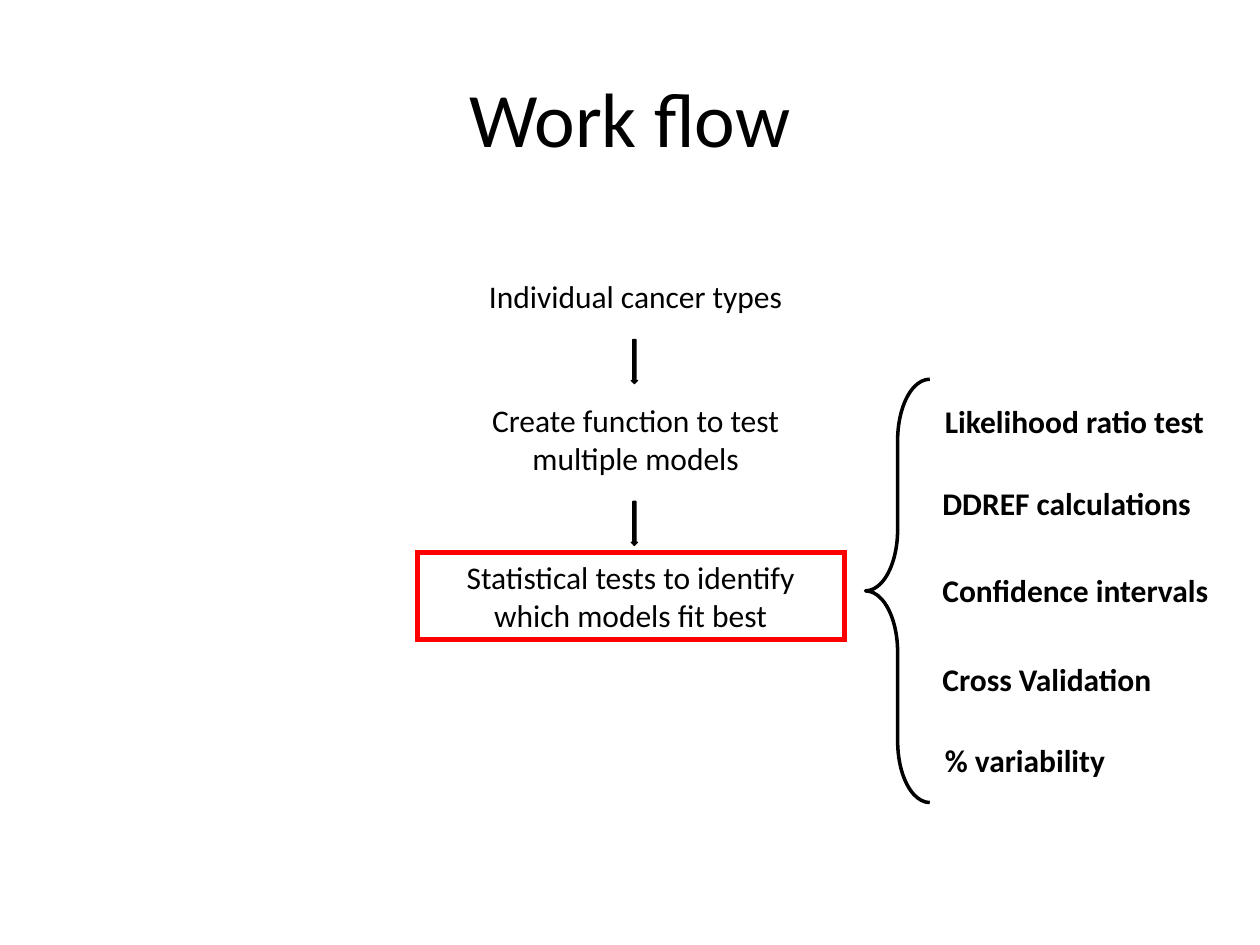
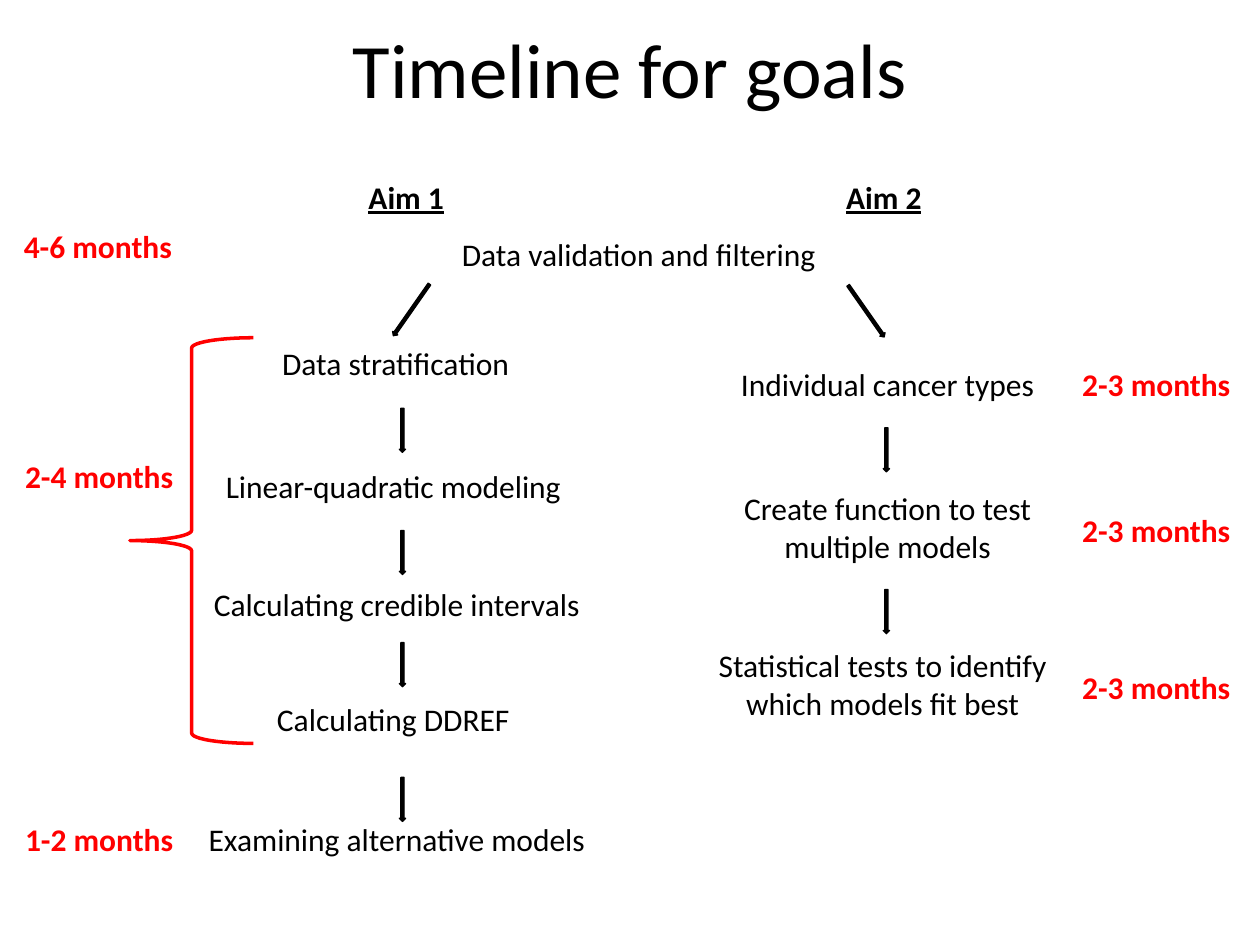
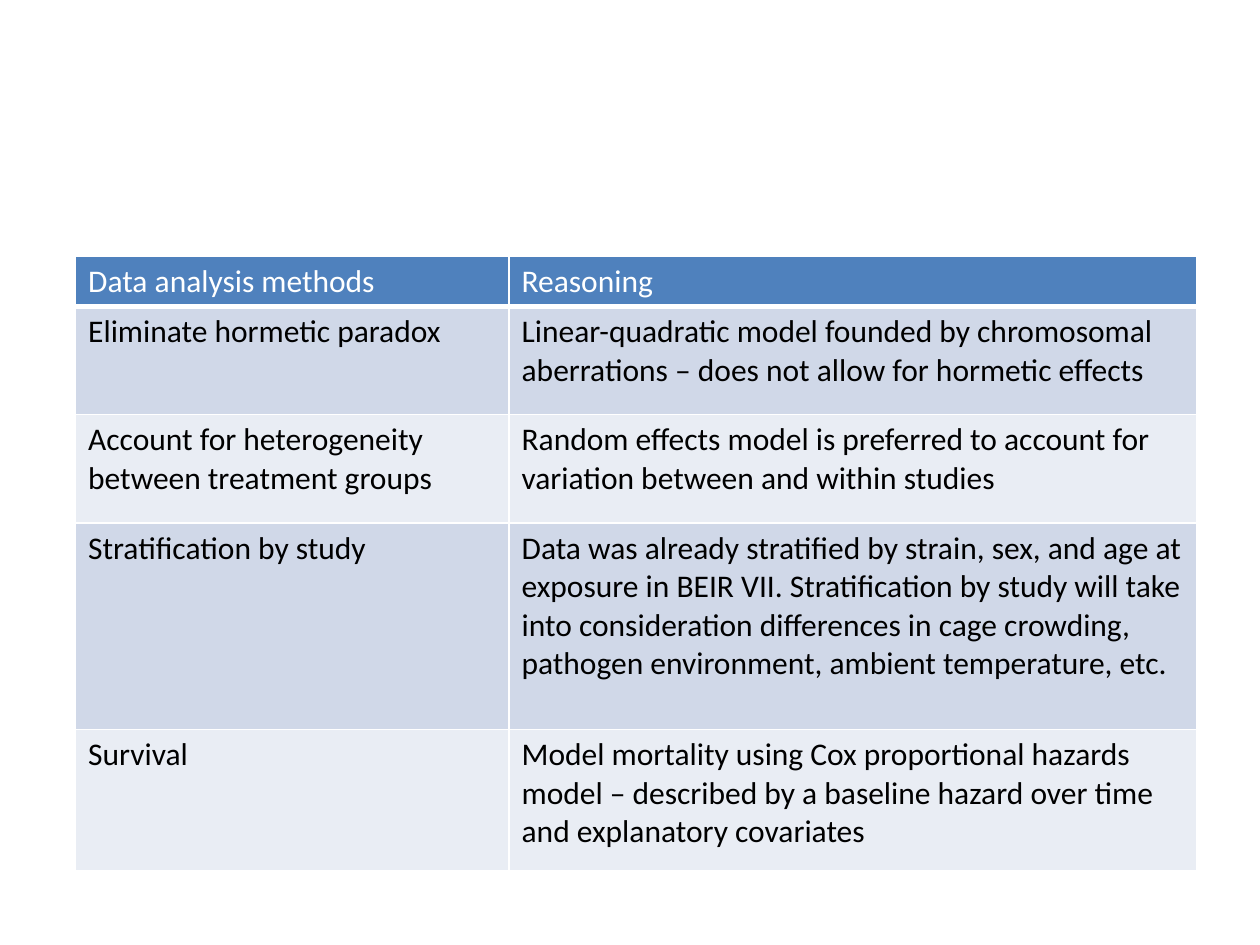
"""Build three slides on the work flow, timeline and methods of a cancer study."""
from dataclasses import dataclass

from lxml import etree
from pptx import Presentation
from pptx.dml.color import RGBColor
from pptx.enum.shapes import MSO_SHAPE
from pptx.enum.text import MSO_ANCHOR, MSO_AUTO_SIZE, PP_ALIGN
from pptx.oxml.ns import qn
from pptx.util import Pt

CENTER, LEFT = PP_ALIGN.CENTER, PP_ALIGN.LEFT
MIDDLE = MSO_ANCHOR.MIDDLE
GROW = MSO_AUTO_SIZE.SHAPE_TO_FIT_TEXT
DOWN_ARROW, FRAME, LEFT_BRACE = MSO_SHAPE.DOWN_ARROW, MSO_SHAPE.FRAME, MSO_SHAPE.LEFT_BRACE

COLORS = {
    "text": "000000",
    "accent": "FF0000",
    "white": "FFFFFF",
    "header": "4F81BD",
    "band_dark": "D0D8E8",
    "band_light": "E9EDF4",
}
FONT = "Calibri"
BODY_SIZE, TITLE_SIZE = 18, 44
ONE_LINE, TWO_LINES = 29.1, 50.9
STEP_WIDTH, AIM_WIDTH, MONTHS_WIDTH, TEST_WIDTH = 238.3, 439.2, 108.7, 187
ARROW_WIDTH, ARROW_HEIGHT = 3.6, 25.2


@dataclass(frozen=True)
class Label:
    text: str
    left: float
    top: float
    width: float
    height: float = ONE_LINE
    align: int = CENTER
    color: str = "text"
    bold: bool = False
    underline: bool = False


@dataclass(frozen=True)
class Arrow:
    left: float
    top: float
    height: float = ARROW_HEIGHT
    rotation: float = 0


@dataclass(frozen=True)
class Brace:
    left: float
    top: float
    width: float
    height: float
    color: str
    curve: float = 0.083


def rgb(name: str) -> RGBColor:
    """Return the named colour."""
    return RGBColor.from_string(COLORS[name])


def style_font(paragraph, color: str, size: float = BODY_SIZE, bold: bool = False) -> None:
    """Apply the shared typeface to a paragraph."""
    font = paragraph.font
    font.name, font.size, font.bold = FONT, Pt(size), bold
    font.color.rgb = rgb(color)


def add_label(slide, label: Label) -> None:
    """Draw one text label."""
    shape = slide.shapes.add_textbox(
        Pt(label.left), Pt(label.top), Pt(label.width), Pt(label.height))
    frame = shape.text_frame
    frame.word_wrap = True
    frame.auto_size = GROW
    paragraph = frame.paragraphs[0]
    paragraph.text = label.text
    paragraph.alignment = label.align
    style_font(paragraph, label.color, bold=label.bold)
    if label.underline:
        paragraph.font.underline = True


def add_title(slide, text: str, top: float) -> None:
    """Draw the centred slide title."""
    shape = slide.shapes.add_textbox(Pt(36), Pt(top), Pt(648), Pt(90))
    frame = shape.text_frame
    frame.word_wrap = True
    frame.vertical_anchor = MIDDLE
    paragraph = frame.paragraphs[0]
    paragraph.text = text
    paragraph.alignment = CENTER
    style_font(paragraph, "text", TITLE_SIZE)


def add_preset(slide, preset: int, left: float, top: float, width: float, height: float,
               color: str, line_width: float = 0.75, filled: bool = True):
    """Draw a preset shape in one colour and return it."""
    shape = slide.shapes.add_shape(preset, Pt(left), Pt(top), Pt(width), Pt(height))
    shape.shadow.inherit = False
    if filled:
        shape.fill.solid()
        shape.fill.fore_color.rgb = rgb(color)
    else:
        shape.fill.background()
    shape.line.color.rgb = rgb(color)
    shape.line.width = Pt(line_width)
    return shape


def add_arrow(slide, arrow: Arrow) -> None:
    """Draw one thin down arrow."""
    shape = add_preset(slide, DOWN_ARROW, arrow.left, arrow.top, ARROW_WIDTH, arrow.height, "text")
    shape.rotation = arrow.rotation


def add_brace(slide, brace: Brace) -> None:
    """Draw one left brace."""
    shape = add_preset(slide, LEFT_BRACE, brace.left, brace.top, brace.width, brace.height,
                       brace.color, line_width=2, filled=False)
    shape.adjustments[0] = brace.curve


def add_model_steps(slide, left: float, top: float) -> None:
    """Draw the three model steps that two slides share."""
    for text, shift, drop, height in (
        ("Individual cancer types", 2.9, 0, ONE_LINE),
        ("Create function to test multiple models", 2.9, 70.8, TWO_LINES),
        ("Statistical tests to identify which models fit best", 0, 160.6, TWO_LINES),
    ):
        add_label(slide, Label(text, left + shift, top + drop, STEP_WIDTH, height))
    for drop in (39.2, 131.7):
        add_arrow(slide, Arrow(left + 119.5, top + drop))


def set_border(cell, side: str, width: float) -> None:
    """Give one side of a cell a white border."""
    line = etree.SubElement(cell._tc.get_or_add_tcPr(), qn(f"a:ln{side}"), w=str(Pt(width)))
    fill = etree.SubElement(line, qn("a:solidFill"))
    etree.SubElement(fill, qn("a:srgbClr"), val=COLORS["white"])


def build_work_flow(slide) -> None:
    """Build the work flow slide."""
    add_title(slide, "Work flow", 21.6)
    add_model_steps(slide, 241.2, 154.8)
    for text, left, top in (
        ("Likelihood ratio test", 532.8, 226.1),
        ("DDREF calculations", 531.4, 272.9),
        ("Confidence intervals", 531.4, 322.6),
        ("Cross Validation", 531.4, 373.7),
        ("% variability", 532.8, 419.8),
    ):
        add_label(slide, Label(text, left, top, TEST_WIDTH, align=LEFT, bold=True))
    highlight = add_preset(slide, FRAME, 237.6, 314.6, 246.2, 51.8, "accent")
    highlight.adjustments[0] = 0.039
    add_brace(slide, Brace(494.6, 216.7, 36.7, 241.9, "text", 0.954))


def build_timeline(slide) -> None:
    """Build the timeline slide."""
    add_title(slide, "Timeline for goals", -6.5)
    for text, left, top in (
        ("Data validation and filtering", 145.4, 131),
        ("Data stratification", 6.5, 193),
        ("Linear-quadratic modeling", 5.2, 263.5),
        ("Calculating credible intervals", 7.2, 330.5),
        ("Calculating DDREF", 5.2, 396.7),
        ("Examining alternative models", 7.2, 465.1),
    ):
        add_label(slide, Label(text, left, top, AIM_WIDTH))
    add_model_steps(slide, 385.2, 205.2)
    for text, left in (("Aim 1", 145.4), ("Aim 2", 418.3)):
        add_label(slide, Label(text, left, 97.9, 173.5, bold=True, underline=True))
    for text, left, top in (
        ("4-6 months", 6.5, 126),
        ("2-4 months", 7.2, 257.8),
        ("1-2 months", 7.2, 465.1),
        ("2-3 months", 611.3, 205.2),
        ("2-3 months", 611.3, 288.7),
        ("2-3 months", 611.3, 378),
    ):
        add_label(slide, Label(text, left, top, MONTHS_WIDTH, align=LEFT,
                               color="accent", bold=True))
    for top in (233.3, 303.1, 367.2, 444.2):
        add_arrow(slide, Arrow(228.2, top))
    add_arrow(slide, Arrow(233.3, 159.1, 36, 35))
    add_arrow(slide, Arrow(493.2, 159.8, 36, 325))
    add_brace(slide, Brace(74.2, 193, 70.6, 231.8, "accent"))


def build_methods(slide) -> None:
    """Build the table of methods and reasons."""
    rows = (
        ("Data analysis methods", "Reasoning"),
        ("Eliminate hormetic paradox",
         "Linear-quadratic model founded by chromosomal aberrations – does not allow for "
         "hormetic effects"),
        ("Account for heterogeneity between treatment groups",
         "Random effects model is preferred to account for variation between and within studies"),
        ("Stratification by study",
         "Data was already stratified by strain, sex, and age at exposure in BEIR VII. "
         "Stratification by study will take into consideration differences in cage crowding, "
         "pathogen environment, ambient temperature, etc."),
        ("Survival",
         "Model mortality using Cox proportional hazards model – described by a baseline hazard "
         "over time and explanatory covariates"),
    )
    widths = (247.7, 393.1)
    heights = (28.8, 61.9, 61.9, 118.1, 80.6)
    table = slide.shapes.add_table(len(rows), len(widths), Pt(43.2), Pt(146.2),
                                   Pt(sum(widths)), Pt(sum(heights))).table
    for column, width in zip(table.columns, widths):
        column.width = Pt(width)
    for row_index, (texts, height) in enumerate(zip(rows, heights)):
        table.rows[row_index].height = Pt(height)
        is_header = row_index == 0
        band = "header" if is_header else ("band_light", "band_dark")[row_index % 2]
        borders = {"L": 1, "R": 1, "T": 3 if row_index == 1 else 1, "B": 3 if is_header else 1}
        for column_index, text in enumerate(texts):
            cell = table.cell(row_index, column_index)
            for side, width in borders.items():
                set_border(cell, side, width)
            cell.fill.solid()
            cell.fill.fore_color.rgb = rgb(band)
            paragraph = cell.text_frame.paragraphs[0]
            paragraph.text = text
            style_font(paragraph, "white" if is_header else "text")


def main() -> None:
    """Build and save the presentation."""
    presentation = Presentation()
    presentation.slide_width, presentation.slide_height = Pt(720), Pt(540)
    blank = presentation.slide_layouts[6]
    for build in (build_work_flow, build_timeline, build_methods):
        build(presentation.slides.add_slide(blank))
    presentation.save("out.pptx")


if __name__ == "__main__":
    main()
